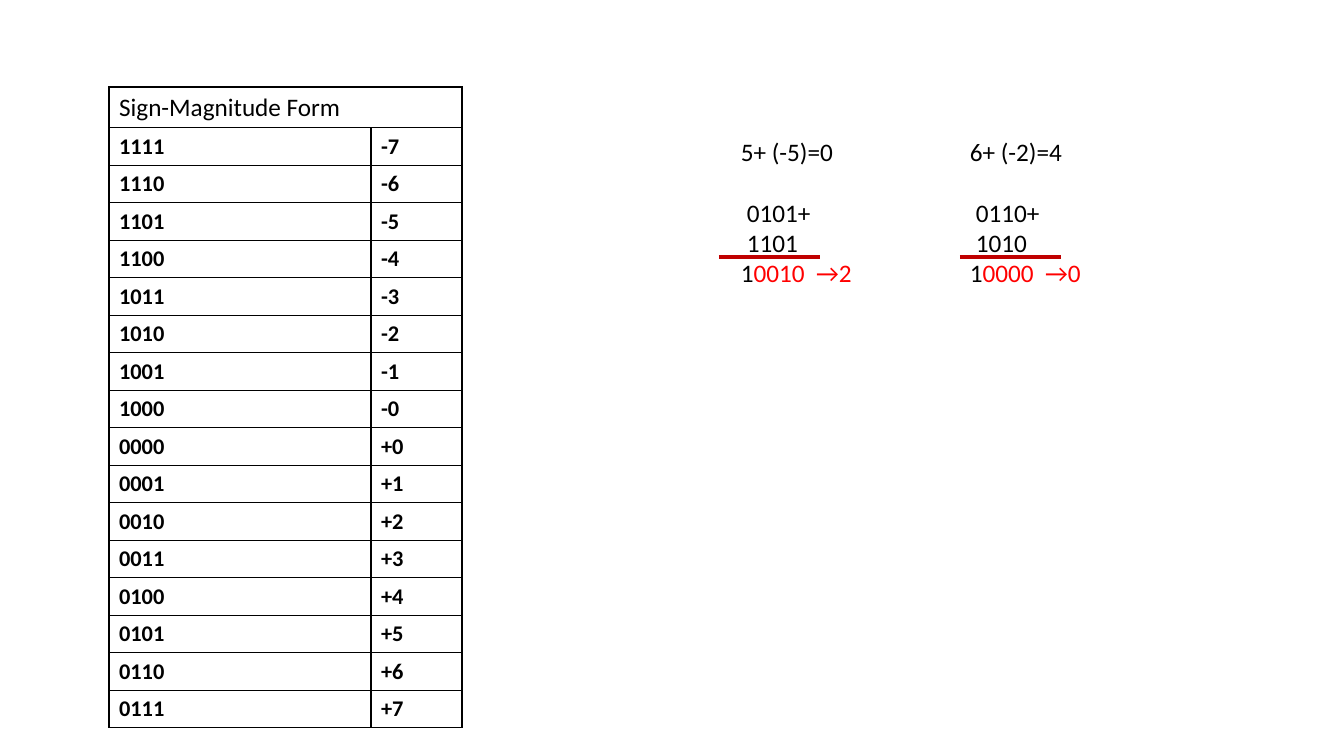
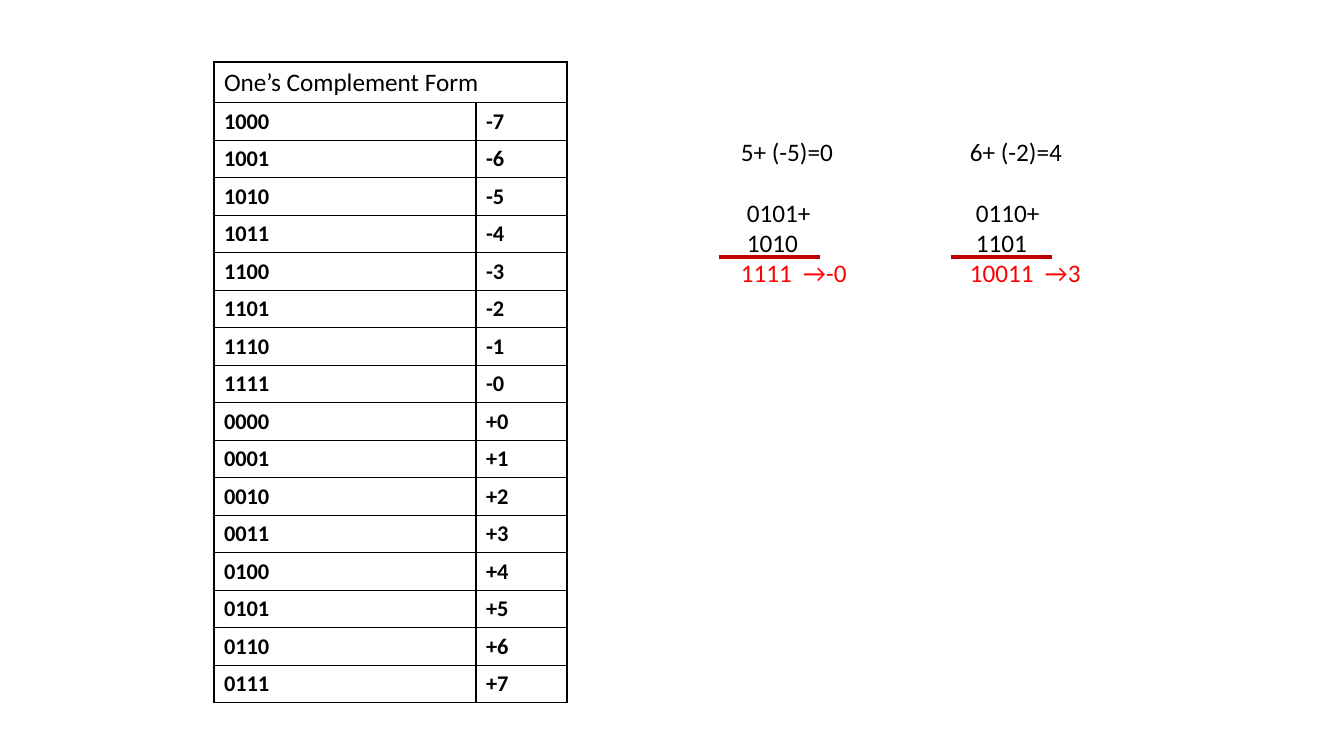
"""Build two slides on signed binary forms, each with a code table and two sums."""
import pptx
import pptx.util
import pptx.dml.color
import pptx.enum.shapes
import pptx.enum.text
import pptx.oxml
import pptx.oxml.ns

HUES = {"ink": "000000", "paper": "FFFFFF", "result": "FF0000", "rule": "C00000"}
SIGNS = [f"-{n}" for n in range(7, -1, -1)] + [f"+{n}" for n in range(8)]
SLIDES = [
    {
        "title": "Sign-Magnitude Form",
        "codes": [*range(15, 7, -1), *range(8)],
        "place": (109, 87),
        "sums": [
            {"head": "5+ (-5)=0", "terms": ("0101+", "1101"),
             "carry": "1", "result": "0010  →2", "rule": 719},
            {"head": "6+ (-2)=4", "terms": ("0110+", "1010"),
             "carry": "1", "result": "0000  →0", "rule": 960},
        ],
    },
    {
        "title": "One’s Complement Form",
        "codes": [*range(8, 16), *range(8)],
        "place": (214, 62),
        "sums": [
            {"head": "5+ (-5)=0", "terms": ("0101+", "1010"),
             "carry": "", "result": "1111  →-0", "rule": 719},
            {"head": "6+ (-2)=4", "terms": ("0110+", "1101"),
             "carry": "", "result": "10011  →3", "rule": 951},
        ],
    },
]
SIZE = (1344, 756)
COLS = (262, 91)
TALL = 632
SUM = {"left": 731, "step": 229, "top": 131, "wide": 185, "tall": 194}
RULE = {"y": 257, "wide": 101}
INDENT = 6
GAP = 22
PLAIN = {"name": "Calibri", "size": pptx.util.Pt(18), "bold": False}
CODE = {**PLAIN, "size": pptx.util.Pt(16), "bold": True}


def px(num):
    return round(num * 914400 / 100.8)


def hue(key):
    return pptx.dml.color.RGBColor.from_string(HUES[key])


def write(para, text, form=PLAIN, tint="ink"):
    run = para.add_run()
    run.text = text
    for key, val in form.items():
        setattr(run.font, key, val)
    run.font.color.rgb = hue(tint)


def edge(cell):
    props = cell._tc.get_or_add_tcPr()
    for spot, side in enumerate("LRTB"):
        props.insert(spot, pptx.oxml.parse_xml(
            f'<a:ln{side} {pptx.oxml.ns.nsdecls("a")} w="12700"><a:solidFill>'
            f'<a:srgbClr val="{HUES["ink"]}"/></a:solidFill></a:ln{side}>'))


def add_codes(slide, data):
    rows = [(data["title"], "")]
    rows += [(f"{code:04b}", sign) for code, sign in zip(data["codes"], SIGNS)]
    left, top = data["place"]
    table = slide.shapes.add_table(
        len(rows), len(COLS), px(left), px(top), px(sum(COLS)), px(TALL)).table
    for flag in ("first_row", "horz_banding"):
        setattr(table, flag, False)
    for col, wide in zip(table.columns, COLS):
        col.width = px(wide)
    table.cell(0, 0).merge(table.cell(0, 1))
    for r, row in enumerate(rows):
        for c, text in enumerate(row):
            cell = table.cell(r, c)
            cell.fill.solid()
            cell.fill.fore_color.rgb = hue("paper")
            edge(cell)
            if text:
                write(cell.text_frame.paragraphs[0], text, CODE if r else PLAIN)


def add_sum(slide, data, spot):
    box = slide.shapes.add_textbox(
        px(SUM["left"] + spot * SUM["step"]), px(SUM["top"]),
        px(SUM["wide"]), px(SUM["tall"]))
    frame = box.text_frame
    frame.word_wrap = True
    frame.auto_size = pptx.enum.text.MSO_AUTO_SIZE.SHAPE_TO_FIT_TEXT
    head = frame.paragraphs[0]
    head.space_after = pptx.util.Pt(GAP)
    write(head, data["head"])
    for term in data["terms"]:
        para = frame.add_paragraph()
        para._p.get_or_add_pPr().set("marL", str(px(INDENT)))
        write(para, term)
    last = frame.add_paragraph()
    if data["carry"]:
        write(last, data["carry"])
    write(last, data["result"], tint="result")


def add_rule(slide, left):
    rule = slide.shapes.add_connector(
        pptx.enum.shapes.MSO_CONNECTOR.STRAIGHT,
        px(left), px(RULE["y"]), px(left + RULE["wide"]), px(RULE["y"]))
    rule.line.color.rgb = hue("rule")
    rule.line.width = pptx.util.Pt(2.25)
    rule._element.spPr.append(pptx.oxml.parse_xml(
        f'<a:effectLst {pptx.oxml.ns.nsdecls("a")}/>'))


deck = pptx.Presentation()
deck.slide_width, deck.slide_height = map(px, SIZE)
for data in SLIDES:
    slide = deck.slides.add_slide(deck.slide_layouts[6])
    add_codes(slide, data)
    for spot, item in enumerate(data["sums"]):
        add_sum(slide, item, spot)
        add_rule(slide, item["rule"])
deck.save("out.pptx")
